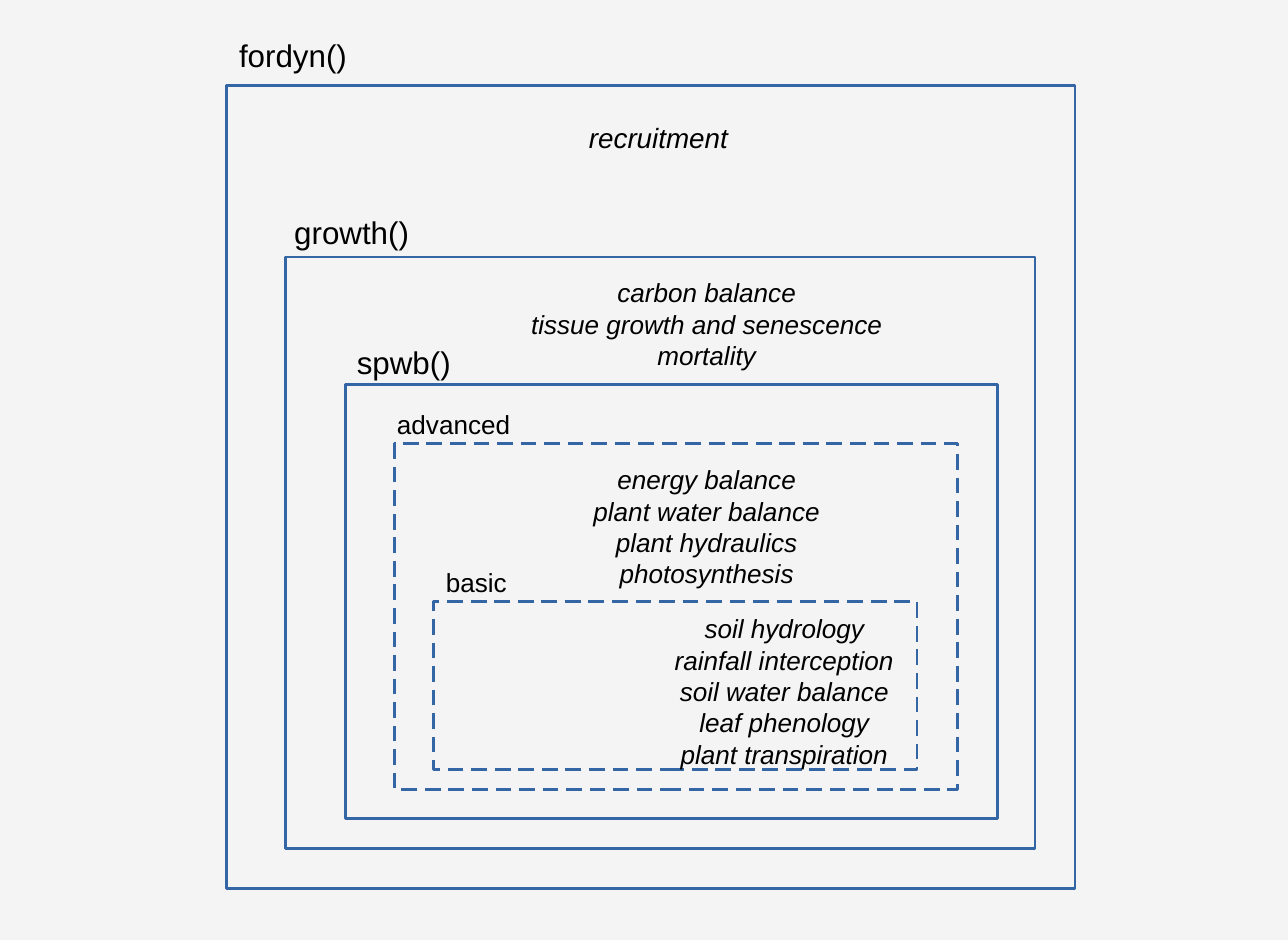
import pptx
import pptx.dml.color
import pptx.enum.shapes
import pptx.enum.text
import pptx.oxml.ns
import pptx.util
import lxml.etree

Inches = pptx.util.Inches
Pt = pptx.util.Pt
Align = pptx.enum.text.PP_ALIGN

BACKGROUND = pptx.dml.color.RGBColor(0xF4, 0xF4, 0xF4)
FRAME_BLUE = pptx.dml.color.RGBColor(0x34, 0x65, 0xA4)
TEXT_BLACK = pptx.dml.color.RGBColor(0x00, 0x00, 0x00)


class NestedDiagram:
    font_name = "Arial"
    line_width = Pt(1.5)
    label_width = 1.4

    def __init__(self, slide):
        self.slide = slide
        slide.background.fill.solid()
        slide.background.fill.fore_color.rgb = BACKGROUND

    def frame(self, left, top, width, height, dashed=False):
        frame = self.slide.shapes.add_shape(
            pptx.enum.shapes.MSO_SHAPE.RECTANGLE,
            Inches(left), Inches(top), Inches(width), Inches(height))
        frame.shadow.inherit = False
        frame.fill.background()
        frame.line.color.rgb = FRAME_BLUE
        frame.line.width = self.line_width
        if dashed:
            qualified = pptx.oxml.ns.qn
            outline = frame.line._get_or_add_ln()
            pattern = lxml.etree.SubElement(outline, qualified("a:custDash"))
            lxml.etree.SubElement(pattern, qualified("a:ds"), d="600000", sp="300000")

    def text(self, left, top, width, height, lines, size, italic=False, align=Align.LEFT):
        box = self.slide.shapes.add_textbox(
            Inches(left), Inches(top), Inches(width), Inches(height))
        box.text_frame.word_wrap = False
        for number, line in enumerate(lines):
            para = box.text_frame.paragraphs[0] if number == 0 else box.text_frame.add_paragraph()
            para.alignment = align
            span = para.add_run()
            span.text = line
            span.font.name = self.font_name
            span.font.size = Pt(size)
            span.font.italic = italic
            span.font.color.rgb = TEXT_BLACK

    def label(self, left, top, height, name, size):
        self.text(left, top, self.label_width, height, [name], size)

    def processes(self, left, top, width, height, names, size=15):
        self.text(left, top, width, height, names, size, italic=True, align=Align.CENTER)


deck = pptx.Presentation()
deck.slide_width = Inches(10.28)
deck.slide_height = Inches(7.5)
BLANK_LAYOUT = 6
diagram = NestedDiagram(deck.slides.add_slide(deck.slide_layouts[BLANK_LAYOUT]))

model_frames = [
    (1.81, 0.68, 6.77, 6.41, False),
    (2.28, 2.05, 5.98, 4.72, False),
    (2.76, 3.07, 5.2, 3.46, False),
    (3.15, 3.54, 4.49, 2.76, True),
    (3.46, 4.8, 3.86, 1.34, True),
]
for model_frame in model_frames:
    diagram.frame(*model_frame)

model_labels = [
    (1.81, 0.24, 0.38, "fordyn()", 18),
    (2.25, 1.65, 0.38, "growth()", 18),
    (2.75, 2.69, 0.38, "spwb()", 18),
    (3.07, 3.21, 0.33, "advanced", 15),
    (3.46, 4.47, 0.33, "basic", 15),
]
for model_label in model_labels:
    diagram.label(*model_label)

diagram.processes(4.5, 0.91, 1.51, 0.35, ["recruitment"], size=16)
diagram.processes(4.03, 2.16, 3.22, 0.79, [
    "carbon balance", "tissue growth and senescence", "mortality"])
diagram.processes(4.53, 3.65, 2.22, 1.02, [
    "energy balance", "plant water balance", "plant hydraulics", "photosynthesis"])
diagram.processes(5.18, 4.84, 2.16, 1.26, [
    "soil hydrology", "rainfall interception", "soil water balance",
    "leaf phenology", "plant transpiration"])

deck.save("out.pptx")
